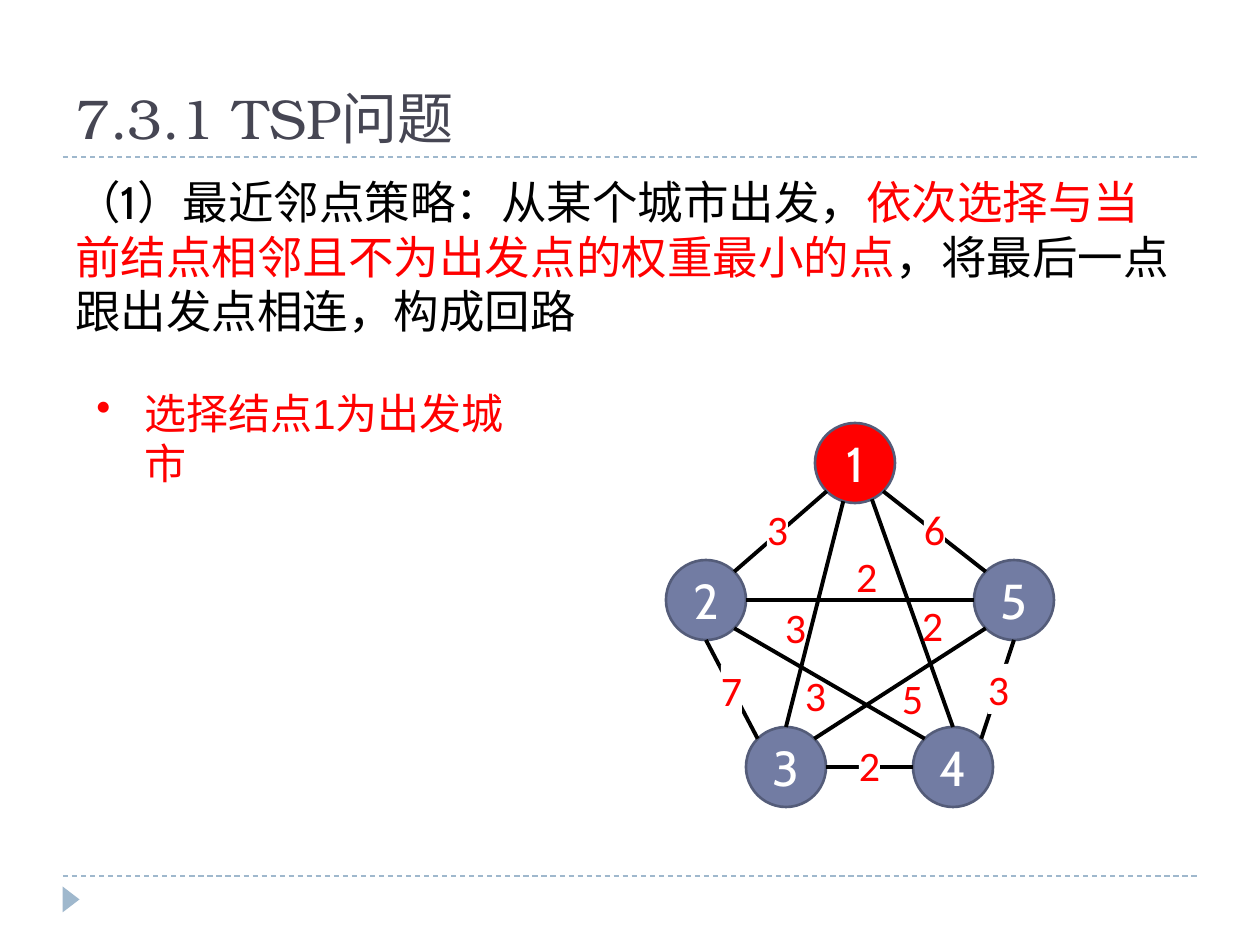
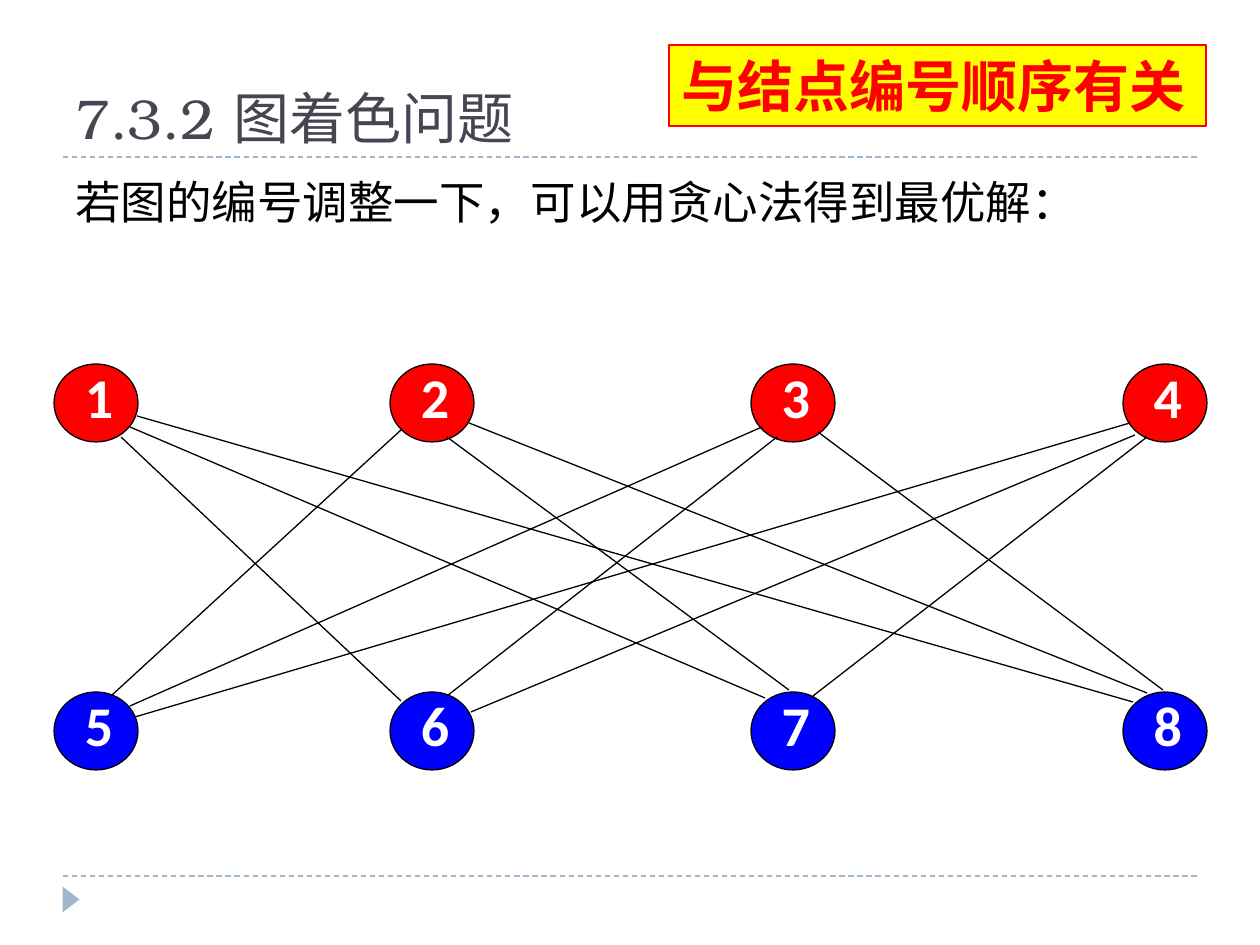
from math import cos, radians, sin

from pptx import Presentation
from pptx.dml.color import RGBColor
from pptx.enum.dml import MSO_LINE
from pptx.enum.shapes import MSO_CONNECTOR, MSO_SHAPE
from pptx.enum.text import MSO_ANCHOR as ANCHOR, PP_ALIGN as ALIGN
from pptx.oxml.xmlchemy import OxmlElement
from pptx.util import Emu, Pt

PIXEL = 914400 // 126
SLIDE_WIDTH, SLIDE_HEIGHT = 1260, 945
BLACK, WHITE, RED, BLUE, YELLOW = "000000", "FFFFFF", "FF0000", "0000FF", "FFFF00"
TITLE_COLOR, ACCENT, NODE_FILL, NODE_LINE = "464653", "9FB8CD", "727CA3", "545C79"
TITLE_FONT, BODY_FONT, NUMBER_FONT = "TeX Gyre Bonum", "Cabin", "Calibri"

# City graph: node centres, and edges as (city, angle, city, angle),
# with angles in degrees clockwise from the right.
CITY_SIZE = 80
CITIES = {1: (855, 463), 5: (1014, 600), 2: (706, 600), 3: (786, 767), 4: (953, 767)}
ROADS = [
    (1, 135, 2, -45), (1, 107, 3, -90), (1, 65, 4, -90), (1, 45, 5, -135),
    (2, 90, 3, -135), (2, 45, 4, -135), (2, 0, 5, 180), (3, 0, 4, 180),
    (3, -45, 5, 135), (4, -45, 5, 90),
]
# Weights: text, left, top, whether the label covers the road below it.
WEIGHTS = [
    ("3", 767, 504, True), ("3", 785, 602, False), ("2", 922, 600, False),
    ("6", 924, 504, True), ("7", 721, 665, True), ("3", 805, 670, False),
    ("2", 856, 551, False), ("2", 859, 740, True), ("5", 902, 673, False),
    ("3", 988, 664, True),
]

# Colouring graph: two rows of nodes, and edges as end points.
COLUMN_LEFTS = (54, 390, 751, 1123)
COLOR_ROWS = [(364, RED), (692, BLUE)]
COLOR_EDGES = [
    (121, 437, 401, 701), (130, 427, 765, 698), (137, 416, 1133, 702),
    (401, 430, 111, 696), (447, 437, 789, 690), (469, 423, 1147, 693),
    (130, 706, 762, 427), (135, 717, 1130, 423), (777, 437, 447, 696),
    (818, 432, 1163, 690), (1147, 437, 813, 696), (1135, 435, 471, 712),
]


def px(value):
    """Turn pixels into EMU."""
    return Emu(round(value * PIXEL))


def rgb(color):
    """Turn a hex string into a colour."""
    return RGBColor.from_string(color)


def write_text(shape, runs, size, font, color=BLACK, bold=False, align=ALIGN.LEFT,
               anchor=ANCHOR.TOP, insets=None, wrap=True, before=0, spacing=None):
    """Write one paragraph; runs is a string or a list of (text, colour)."""
    frame = shape.text_frame
    frame.word_wrap = wrap
    frame.vertical_anchor = anchor
    if insets is not None:
        (frame.margin_left, frame.margin_top,
         frame.margin_right, frame.margin_bottom) = map(px, insets)
    paragraph = frame.paragraphs[0]
    paragraph.alignment = align
    paragraph.space_before = Pt(before)
    paragraph.line_spacing = spacing
    for text, run_color in [(runs, color)] if isinstance(runs, str) else runs:
        run = paragraph.add_run()
        run.text = text
        run.font.size = Pt(size)
        run.font.name = font
        run.font.bold = bold
        run.font.color.rgb = rgb(run_color)
    return paragraph


def add_text(shapes, box, runs, size, font, **text_format):
    """Add a text box and return its paragraph."""
    return write_text(shapes.add_textbox(*map(px, box)), runs, size, font, **text_format)


def add_shape(shapes, kind, box, fill, line=None, width=0.75):
    """Add a preset shape without a shadow."""
    shape = shapes.add_shape(kind, *map(px, box))
    shape.shadow.inherit = False
    shape.fill.solid()
    shape.fill.fore_color.rgb = rgb(fill)
    if line:
        shape.line.color.rgb = rgb(line)
        shape.line.width = Pt(width)
    else:
        shape.line.fill.background()
    return shape


def add_line(shapes, ends, color=BLACK, width=0.75, dash=None):
    """Add a straight connector without a shadow."""
    line = shapes.add_connector(MSO_CONNECTOR.STRAIGHT, *map(px, ends))
    line.line.color.rgb = rgb(color)
    line.line.width = Pt(width)
    if dash:
        line.line.dash_style = dash
    line._element.spPr.append(OxmlElement("a:effectLst"))


def add_bullet(paragraph, indent):
    """Give a paragraph a round bullet with a hanging indent."""
    properties = paragraph._p.get_or_add_pPr()
    properties.set("marL", str(px(indent)))
    properties.set("indent", str(-px(indent)))
    bullet = OxmlElement("a:buChar")
    bullet.set("char", "•")
    properties.append(bullet)


def add_base_slide(presentation, title, body):
    """Add a slide with the shared rules, marker, title and body text."""
    slide = presentation.slides.add_slide(presentation.slide_layouts[6])
    shapes = slide.shapes
    for y in (876, 157):
        add_line(shapes, (63, y, 1197, y), ACCENT, dash=MSO_LINE.DASH)
    marker = add_shape(shapes, MSO_SHAPE.ISOSCELES_TRIANGLE, (58, 891, 26, 17), ACCENT)
    marker.rotation = 90
    add_text(shapes, (63, 21, 1134, 136), title, 32, TITLE_FONT,
             color=TITLE_COLOR, anchor=ANCHOR.BOTTOM)
    add_text(shapes, (63, 168, 1134, 680), body, 26, BODY_FONT, before=6)
    return slide


def rim_point(city, angle):
    """Return the point on a city's circle at an angle."""
    x, y = CITIES[city]
    radius = CITY_SIZE / 2
    return x + radius * cos(radians(angle)), y + radius * sin(radians(angle))


def add_city_graph(shapes):
    """Draw the weighted graph of five cities."""
    for city, (x, y) in CITIES.items():
        box = (x - CITY_SIZE / 2, y - CITY_SIZE / 2, CITY_SIZE, CITY_SIZE)
        node = add_shape(shapes, MSO_SHAPE.OVAL, box, RED if city == 1 else NODE_FILL,
                         NODE_LINE, 1.5)
        write_text(node, str(city), 28, BODY_FONT, color=WHITE,
                   align=ALIGN.CENTER, anchor=ANCHOR.MIDDLE)
    for start, start_angle, end, end_angle in ROADS:
        ends = rim_point(start, start_angle) + rim_point(end, end_angle)
        add_line(shapes, ends, width=2.25)
    for weight, left, top, covers in WEIGHTS:
        box = (left, top, 21, 50)
        label = (add_shape(shapes, MSO_SHAPE.RECTANGLE, box, WHITE) if covers
                 else shapes.add_textbox(*map(px, box)))
        write_text(label, weight, 24, NUMBER_FONT, color=RED,
                   insets=(0, 0, 0, 0), wrap=False)


def add_color_graph(shapes):
    """Draw the two-coloured graph of eight nodes."""
    number = 0
    for top, fill in COLOR_ROWS:
        for left in COLUMN_LEFTS:
            number += 1
            node = add_shape(shapes, MSO_SHAPE.OVAL, (left, top, 84, 78), fill, BLACK)
            write_text(node, str(number), 32, NUMBER_FONT, color=WHITE, bold=True,
                       align=ALIGN.CENTER, insets=(6, 0, 0, 0), spacing=0.8)
    for ends in COLOR_EDGES:
        add_line(shapes, ends)


def build_tsp_slide(presentation):
    """Build the slide on the nearest neighbour strategy."""
    slide = add_base_slide(presentation, "7.3.1 TSP问题", [
        ("（1）最近邻点策略：从某个城市出发，", BLACK),
        ("依次选择与当前结点相邻且不为出发点的权重最小的点", RED),
        ("，将最后一点跟出发点相连，构成回路", BLACK),
    ])
    add_city_graph(slide.shapes.add_group_shape().shapes)
    step = add_text(slide.shapes, (84, 381, 471, 63), "选择结点1为出发城市",
                    24, "Arial", color=RED)
    add_bullet(step, 48)


def build_coloring_slide(presentation):
    """Build the slide on graph colouring."""
    slide = add_base_slide(presentation, "7.3.2 图着色问题",
                           "若图的编号调整一下，可以用贪心法得到最优解：")
    add_color_graph(slide.shapes.add_group_shape().shapes)
    callout = add_shape(slide.shapes, MSO_SHAPE.RECTANGLE, (669, 45, 537, 81), YELLOW, RED)
    write_text(callout, "与结点编号顺序有关", 32, NUMBER_FONT, color=RED, bold=True)


def main():
    """Build and save the presentation."""
    presentation = Presentation()
    presentation.slide_width = px(SLIDE_WIDTH)
    presentation.slide_height = px(SLIDE_HEIGHT)
    build_tsp_slide(presentation)
    build_coloring_slide(presentation)
    presentation.save("out.pptx")


main()
